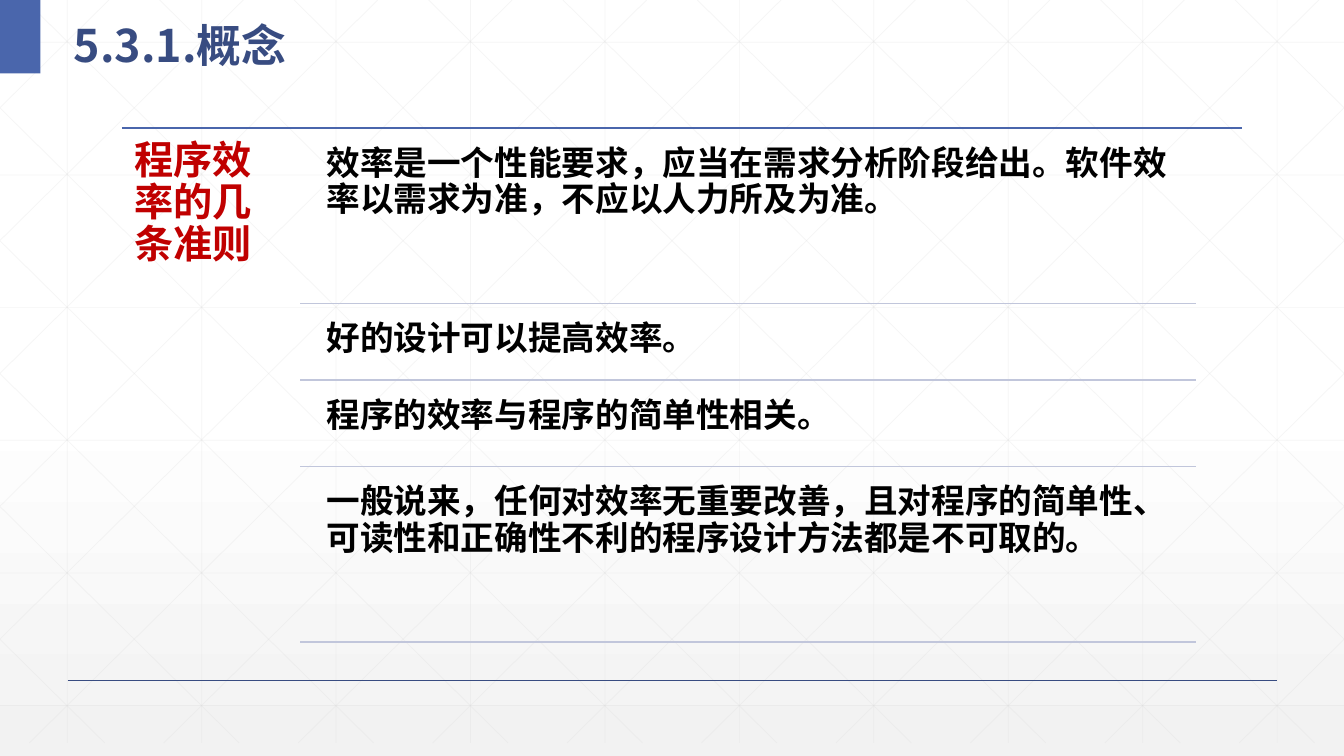
from lxml import etree
from pptx import Presentation
from pptx.dml.color import RGBColor
from pptx.enum.shapes import MSO_CONNECTOR, MSO_SHAPE
from pptx.enum.text import MSO_ANCHOR, MSO_AUTO_SIZE, PP_ALIGN
from pptx.oxml.ns import qn
from pptx.util import Inches, Pt

STRAIGHT = MSO_CONNECTOR.STRAIGHT
RECT = MSO_SHAPE.RECTANGLE
TOP = MSO_ANCHOR.TOP
MIDDLE = MSO_ANCHOR.MIDDLE
FIXED = MSO_AUTO_SIZE.NONE
LEFT = PP_ALIGN.LEFT
FACE = "Noto Sans CJK SC"
WIDE, HIGH = 13.33, 7.5


def rule(shapes, start, end, tint, width=1, alpha=None):
    ends = [Inches(v) for v in (*start, *end)]
    line = shapes.add_connector(STRAIGHT, *ends)
    line.line.color.rgb = RGBColor.from_string(tint)
    line.line.width = Pt(width)
    props = line.element.spPr
    etree.SubElement(props, qn("a:effectLst"))
    if alpha:
        color = props.find(".//" + qn("a:srgbClr"))
        etree.SubElement(color, qn("a:alpha"), val=str(alpha * 1000))


def write(shape, text, size, tint, inset, space, anchor=TOP):
    frame = shape.text_frame
    frame.word_wrap = True
    frame.auto_size = FIXED
    frame.vertical_anchor = anchor
    frame.margin_left = frame.margin_right = Inches(inset[0])
    frame.margin_top = frame.margin_bottom = Inches(inset[1])
    para = frame.paragraphs[0]
    para.text = text
    para.alignment = LEFT
    para.line_spacing = space
    para.font.size = Pt(size)
    para.font.bold = True
    para.font.color.rgb = RGBColor.from_string(tint)
    para.font.name = FACE
    latin = para._p.pPr.find(".//" + qn("a:latin"))
    latin.addnext(etree.Element(qn("a:ea"), typeface=FACE))


deck = Presentation()
deck.slide_width = Inches(WIDE)
deck.slide_height = Inches(HIGH)
slide = deck.slides.add_slide(deck.slide_layouts[5])
shapes = slide.shapes

back = slide.background.fill
back.gradient()
back.gradient_angle = 270
for stop, place, tint in zip(back.gradient_stops, (0.53, 1), ("FFFFFF", "F2F2F2")):
    stop.position = place
    stop.color.rgb = RGBColor.from_string(tint)

mesh = shapes.add_group_shape().shapes
base, step, run = 7.37, 4 / 3, 7.455
pairs = [((x, 0), (x, base)) for x in (step * (i + 0.5) for i in range(10))]
pairs += [((0, y), (WIDE, y)) for y in (0.42 + 1.316 * i for i in range(6))]
for i in range(-5, 10):
    x = 0.25 + step * i
    near, far = max(x, 0), min(x + run, WIDE)
    top, low = [(v - x) * base / run for v in (near, far)]
    pairs.append(((near, top), (far, low)))
    pairs.append(((WIDE - near, top), (WIDE - far, low)))
for start, end in pairs:
    rule(mesh, start, end, "D9D9D9", 0.5, 25)

rule(shapes, (0.67, 6.75), (12.67, 6.75), "384C81")
block = shapes.add_shape(RECT, 0, 0, Inches(0.4), Inches(0.73))
block.shadow.inherit = False
block.fill.solid()
block.fill.fore_color.rgb = RGBColor.from_string("4A66AC")
block.line.fill.background()

title = shapes.title
title.left, title.top = Inches(0.63), 0
title.width, title.height = Inches(5.69), Inches(0.73)
write(title, "5.3.1.概念", 32, "384C81", (0.1, 0.05), 1.3, MIDDLE)
shapes.element.append(title.element)

rule(shapes, (1.21, 1.27), (12.32, 1.27), "4A66AC")
label = shapes.add_textbox(Inches(1.21), Inches(1.27), Inches(1.77), Inches(5.19))
write(label, "程序效率的几条准则", 28, "C00000", (0.12, 0.12), 0.9)

rows = [
    (1.66, "效率是一个性能要求，应当在需求分析阶段给出。软件效率以需求为准，不应以人力所及为准。"),
    (0.68, "好的设计可以提高效率。"),
    (0.78, "程序的效率与程序的简单性相关。"),
    (1.66, "一般说来，任何对效率无重要改善，且对程序的简单性、可读性和正确性不利的程序设计方法都是不可取的。"),
]
y = 1.27
for tall, text in rows:
    y += 0.08
    box = shapes.add_textbox(Inches(3.14), Inches(y), Inches(8.72), Inches(tall))
    write(box, text, 24, "000000", (0.1, 0.1), 0.9)
    y += tall
    rule(shapes, (2.98, y), (11.86, y), "C1C6DB")

deck.save("out.pptx")
